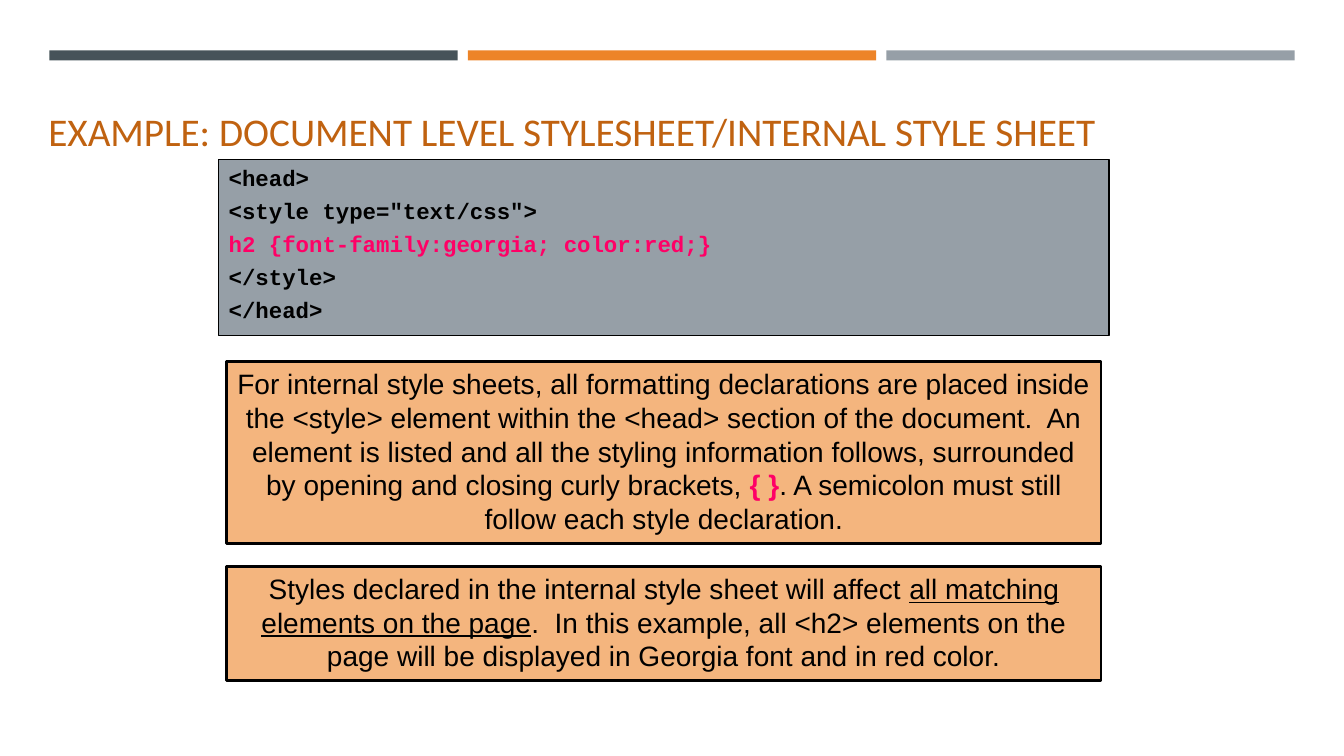
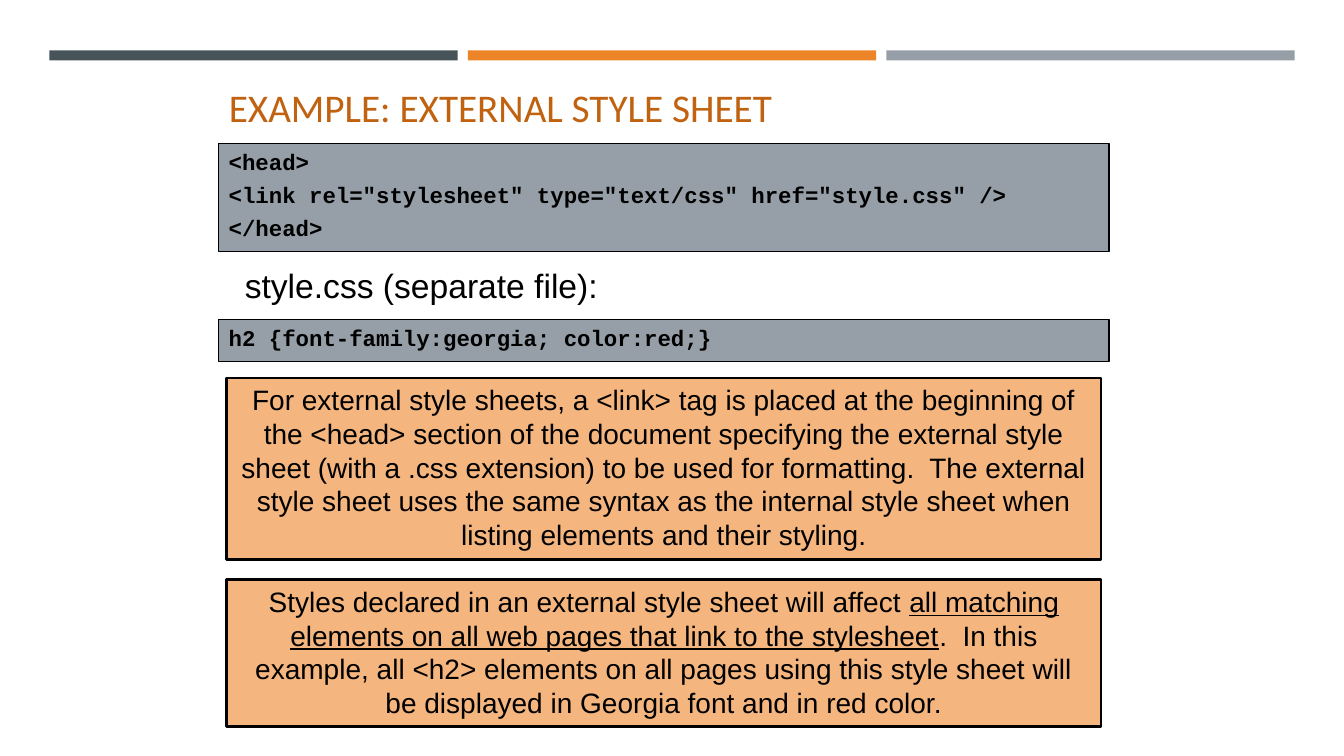
from dataclasses import dataclass
from typing import Optional

from pptx import Presentation
from pptx.dml.color import RGBColor
from pptx.enum import shapes, text
from pptx.util import Inches, Pt

BLACK = RGBColor(0x00, 0x00, 0x00)
SLATE = RGBColor(0x46, 0x53, 0x59)
ORANGE = RGBColor(0xED, 0x84, 0x28)
GRAY = RGBColor(0x96, 0x9F, 0xA7)
PEACH = RGBColor(0xF4, 0xB5, 0x7E)
RUST = RGBColor(0xC0, 0x62, 0x10)
PINK = RGBColor(0xFF, 0x00, 0x66)

BANDS = (SLATE, ORANGE, GRAY)
BAND_LEFT, BAND_STEP, BAND_WIDTH = 0.49, 4.15, 4.05
CODE_LEFT, CODE_WIDTH = 2.17, 8.83
NOTE_LEFT, NOTE_WIDTH = 2.25, 8.67


@dataclass(frozen=True)
class Span:
    """A stretch of text with its emphasis."""

    words: str
    color: RGBColor = BLACK
    bold: bool = False
    underline: bool = False


@dataclass(frozen=True)
class Panel:
    """A code or note panel: its vertical place and its paragraphs."""

    top: float
    height: float
    paragraphs: tuple[tuple[Span, ...], ...]


@dataclass(frozen=True)
class Label:
    """A plain line of text between panels."""

    left: float
    top: float
    width: float
    height: float
    words: str


@dataclass(frozen=True)
class Content:
    """Everything that differs from one slide to the next."""

    title: str
    title_place: tuple[float, float, float, float]
    codes: tuple[Panel, ...]
    notes: tuple[Panel, ...]
    label: Optional[Label] = None


def code(top: float, height: float, *lines: Span) -> Panel:
    """Return a panel with one span on each line."""
    return Panel(top, height, tuple((line,) for line in lines))


def note(top: float, height: float, *spans: Span) -> Panel:
    """Return a panel with a single paragraph."""
    return Panel(top, height, (spans,))


SLIDES = (
    Content(
        "EXAMPLE: DOCUMENT LEVEL STYLESHEET/INTERNAL STYLE SHEET",
        (0.38, 0.5, 11.97, 1.08),
        codes=(
            code(
                1.58, 1.75,
                Span("<head>"),
                Span('<style type="text/css">'),
                Span("h2 {font-family:georgia; color:red;}", PINK),
                Span("</style>"),
                Span("</head>"),
            ),
        ),
        notes=(
            note(
                3.59, 1.8,
                Span("For internal style sheets, all formatting declarations are placed "
                     "inside the <style> element within the <head> section of the "
                     "document.  An element is listed and all the styling information "
                     "follows, surrounded by opening and closing curly brackets, "),
                Span("{ }", PINK, bold=True),
                Span(". A semicolon must still follow each style declaration."),
            ),
            note(
                5.62, 1.13,
                Span("Styles declared in the internal style sheet will affect "),
                Span("all matching elements on the page", underline=True),
                Span(".  In this example, all <h2> elements on the page will be "
                     "displayed in Georgia font and in red color."),
            ),
        ),
    ),
    Content(
        "EXAMPLE: EXTERNAL STYLE SHEET",
        (2.17, 0.42, 9, 0.92),
        codes=(
            code(
                1.42, 1.08,
                Span("<head>"),
                Span('<link rel="stylesheet" type="text/css" href="style.css" />'),
                Span("</head>"),
            ),
            code(3.17, 0.42, Span("h2 {font-family:georgia; color:red;}")),
        ),
        notes=(
            note(
                3.75, 1.8,
                Span("For external style sheets, a <link> tag is placed at the beginning "
                     "of the <head> section of the document specifying the external style "
                     "sheet (with a .css extension) to be used for formatting.  The "
                     "external style sheet uses the same syntax as the internal style "
                     "sheet when listing elements and their styling."),
            ),
            note(
                5.75, 1.46,
                Span("Styles declared in an external style sheet will affect "),
                Span("all matching elements on all web pages that link to the stylesheet",
                     underline=True),
                Span(".  In this example, all <h2> elements on all pages using this style "
                     "sheet will be displayed in Georgia font and in red color."),
            ),
        ),
        label=Label(2.33, 2.58, 4, 0.5, "style.css (separate file):"),
    ),
)


def write_text(box, paragraphs, *, font: str, size: float, bold: bool = False,
               align=text.PP_ALIGN.LEFT, anchor=text.MSO_ANCHOR.TOP,
               gap: float = 0) -> None:
    """Fill a box with paragraphs of spans in one format."""
    frame = box.text_frame
    frame.word_wrap = True
    frame.auto_size = text.MSO_AUTO_SIZE.NONE
    frame.vertical_anchor = anchor
    for index, spans in enumerate(paragraphs):
        para = frame.add_paragraph() if index else frame.paragraphs[0]
        para.alignment = align
        para.space_before = Pt(gap if index else 0)
        for span in spans:
            run = para.add_run()
            run.text = span.words
            run.font.name = font
            run.font.size = Pt(size)
            run.font.bold = bold or span.bold
            run.font.underline = span.underline
            run.font.color.rgb = span.color


def add_rectangle(page, left: float, top: float, width: float, height: float,
                  fill: RGBColor, line: float = 0):
    """Draw a filled rectangle, outlined in black when a line width is given."""
    box = page.shapes.add_shape(
        shapes.MSO_SHAPE.RECTANGLE,
        Inches(left), Inches(top), Inches(width), Inches(height))
    box.shadow.inherit = False
    box.fill.solid()
    box.fill.fore_color.rgb = fill
    if line:
        box.line.color.rgb = BLACK
        box.line.width = Pt(line)
    else:
        box.line.fill.background()
    return box


def add_title(page, content: Content) -> None:
    """Place and format the title placeholder."""
    title = page.shapes.title
    title.left, title.top, title.width, title.height = map(Inches, content.title_place)
    write_text(title, [[Span(content.title, RUST)]], font="Calibri", size=28,
               anchor=text.MSO_ANCHOR.BOTTOM)


def add_label(page, label: Label) -> None:
    """Draw a plain line of text."""
    box = page.shapes.add_textbox(Inches(label.left), Inches(label.top),
                                  Inches(label.width), Inches(label.height))
    write_text(box, [[Span(label.words)]], font="Arial", size=24)


def add_page(deck, content: Content) -> None:
    """Build one slide from its content."""
    page = deck.slides.add_slide(deck.slide_layouts.get_by_name("Title Only"))
    for index, color in enumerate(BANDS):
        add_rectangle(page, BAND_LEFT + index * BAND_STEP, 0.5, BAND_WIDTH, 0.1, color)
    add_title(page, content)
    for panel in content.codes:
        box = add_rectangle(page, CODE_LEFT, panel.top, CODE_WIDTH, panel.height,
                            GRAY, line=0.75)
        write_text(box, panel.paragraphs, font="Courier New", size=16, bold=True, gap=4.3)
    for panel in content.notes:
        box = add_rectangle(page, NOTE_LEFT, panel.top, NOTE_WIDTH, panel.height,
                            PEACH, line=2)
        write_text(box, panel.paragraphs, font="Arial", size=20,
                   align=text.PP_ALIGN.CENTER)
    if content.label:
        add_label(page, content.label)


def main() -> None:
    """Build the deck and save it."""
    deck = Presentation()
    deck.slide_width, deck.slide_height = Inches(13.33), Inches(7.5)
    for content in SLIDES:
        add_page(deck, content)
    deck.save("out.pptx")


if __name__ == "__main__":
    main()
